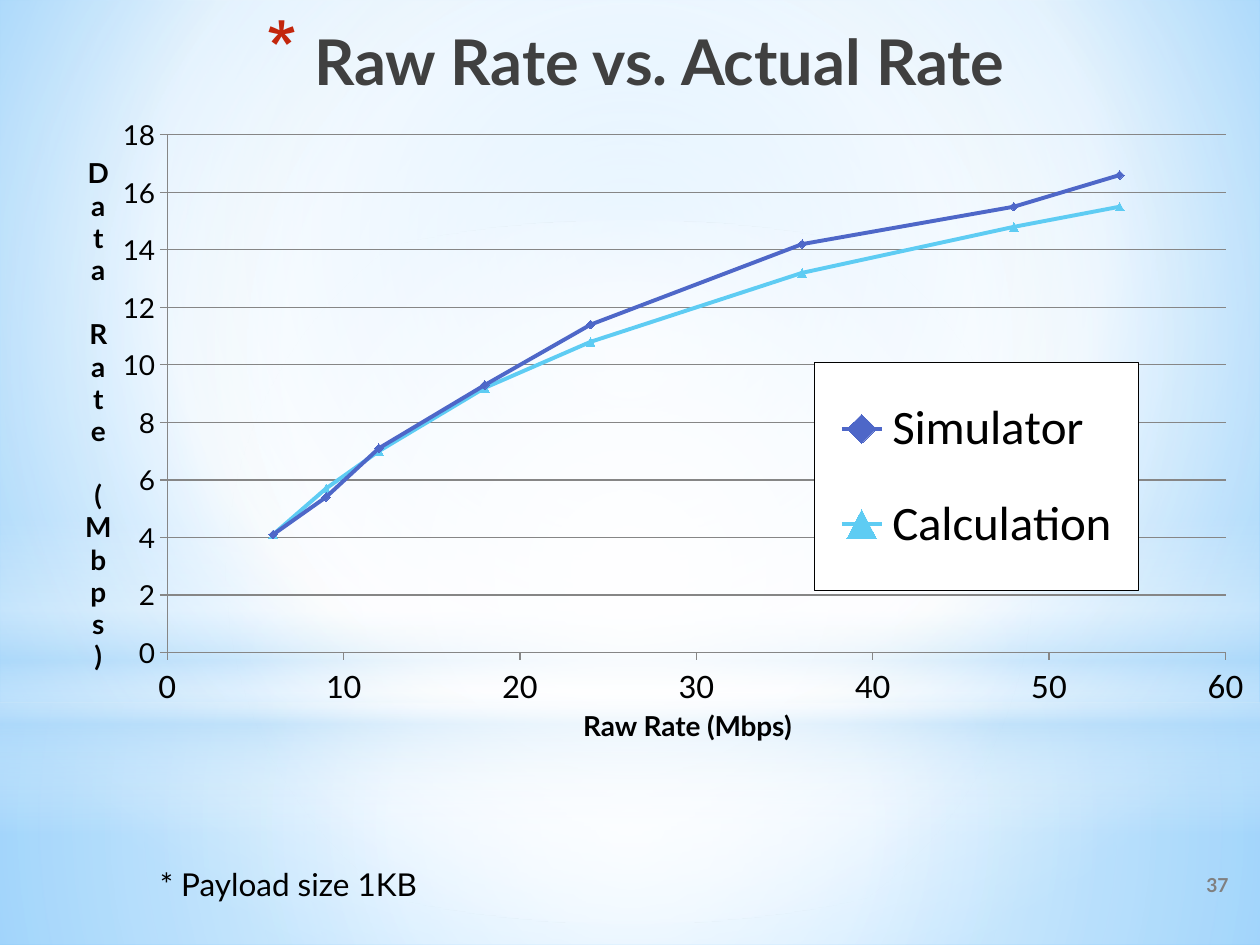
"""Build the slide that plots raw rate against actual data rate."""
import lxml.etree
import pptx
import pptx.chart.data
import pptx.dml.color
import pptx.enum.chart
import pptx.enum.shapes
import pptx.enum.text
import pptx.oxml
import pptx.oxml.ns
import pptx.util

Cm, Pt = pptx.util.Cm, pptx.util.Pt
rgb = pptx.dml.color.RGBColor.from_string
qn = pptx.oxml.ns.qn
sub = lxml.etree.SubElement
enum = pptx.enum.chart
shapes = pptx.enum.shapes.MSO_SHAPE
align = pptx.enum.text.PP_ALIGN
anchor = pptx.enum.text.MSO_ANCHOR


def shade(fill, root, stops, focus):
    """Give a fill its gradient stops, round a focus or straight down."""
    fill.gradient()
    grad = root.xpath(".//a:gradFill")[0]
    for kid in list(grad):
        grad.remove(kid)
    grad.set("rotWithShape", "1")
    group = sub(grad, qn("a:gsLst"))
    for pos, color, alpha in stops:
        stop = sub(group, qn("a:gs"), pos=str(pos * 1000))
        tint = sub(stop, qn("a:srgbClr"), val=color)
        if alpha < 100:
            sub(tint, qn("a:alpha"), val=str(alpha * 1000))
    if focus:
        ring = sub(grad, qn("a:path"), path="circle")
        sides = {side: str(n * 1000) for side, n in zip("ltrb", focus)}
        sub(ring, qn("a:fillToRect"), **sides)
    else:
        sub(grad, qn("a:lin"), ang="5400000", scaled="0")


def style(font, size, color="000000", name="Lato", bold=False):
    """Set a font from a dict of format values."""
    form = {"size": Pt(size), "name": name, "bold": bold}
    for key, val in form.items():
        setattr(font, key, val)
    font.color.rgb = rgb(color)


deck = pptx.Presentation()
deck.slide_width, deck.slide_height = Cm(25.4), Cm(19.05)
slide = deck.slides.add_slide(deck.slide_layouts[6])

shade(slide.background.fill, slide.element,
      [(0, "9ED5FF", 100), (60, "FFFFFF", 100), (100, "5BB9FF", 100)],
      (20, 10, 20, 60))

mid = (50, 50, 50, 50)
layers = [
    (shapes.RECTANGLE, 14.17, 4.88, mid,
     [(0, "FFFFFF", 91), (37, "FFFFFF", 76), (100, "B4DCFA", 79)]),
    (shapes.RECTANGLE, 0, 14.17, mid,
     [(0, "FFFFFF", 89), (48, "FFFFFF", 62), (100, "B4DCFA", 79)]),
    (shapes.RECTANGLE, 10.46, 6.35, None,
     [(0, "FFFFFF", 0), (29, "FFFFFF", 30), (45, "B4DCFA", 40),
      (55, "FFFFFF", 26), (65, "B4DCFA", 60), (100, "FFFFFF", 0)]),
    (shapes.OVAL, 4.45, 14.17, mid,
     [(0, "FFFFFF", 100), (56, "FFFFFF", 0)]),
]
for kind, top, high, focus, stops in layers:
    layer = slide.shapes.add_shape(kind, 0, Cm(top), deck.slide_width, Cm(high))
    layer.shadow.inherit = False
    layer.line.fill.background()
    shade(layer.fill, layer.element, stops, focus)

rates = [6, 9, 12, 18, 24, 36, 48, 54]
marks = enum.XL_MARKER_STYLE
lines = [
    ("Simulator", "4E67C8", marks.DIAMOND,
     [4.1, 5.4, 7.1, 9.3, 11.4, 14.2, 15.5, 16.6]),
    ("Calculation", "5ECCF3", marks.TRIANGLE,
     [4.1, 5.7, 7, 9.2, 10.8, 13.2, 14.8, 15.5]),
]
data = pptx.chart.data.XyChartData()
for name, color, mark, speeds in lines:
    plot = data.add_series(name)
    for rate, speed in zip(rates, speeds):
        plot.add_data_point(rate, speed)
chart = slide.shapes.add_chart(
    enum.XL_CHART_TYPE.XY_SCATTER_LINES,
    Cm(0.36), Cm(0.91), Cm(25.1), Cm(14.2), data).chart
chart.has_title = False
style(chart.font, 10)
chart.plots[0].vary_by_categories = False
for plot, (name, color, mark, speeds) in zip(chart.plots[0].series, lines):
    plot.smooth = False
    plot.format.line.width = Pt(2.25)
    plot.format.line.color.rgb = rgb(color)
    plot.marker.style, plot.marker.size = mark, 5
    plot.marker.format.fill.solid()
    plot.marker.format.fill.fore_color.rgb = rgb(color)
    plot.marker.format.line.color.rgb = rgb(color)

axes = [
    (chart.category_axis, "Raw Rate (Mbps)", 60, 10, 20, "Calibri", False),
    (chart.value_axis, "Data Rate (Mbps)", 18, 2, 16, "Lato", True),
]
for axis, title, top, step, size, face, grid in axes:
    form = {"minimum_scale": 0, "maximum_scale": top, "major_unit": step,
            "has_major_gridlines": grid,
            "major_tick_mark": enum.XL_TICK_MARK.OUTSIDE,
            "minor_tick_mark": enum.XL_TICK_MARK.NONE}
    for key, val in form.items():
        setattr(axis, key, val)
    style(axis.tick_labels.font, size, name=face)
    axis.tick_labels.number_format = "General"
    axis.tick_labels.number_format_is_linked = False
    axis.format.line.color.rgb = rgb("868686")
    frame = axis.axis_title.text_frame
    frame.text = title
    style(frame.paragraphs[0].runs[0].font, 16, bold=True)
chart.value_axis.major_gridlines.format.line.color.rgb = rgb("868686")

chart.has_legend = True
legend = chart.legend
legend.position = enum.XL_LEGEND_POSITION.CORNER
legend.include_in_layout = False
style(legend.font, 28, name="Calibri")

root = chart.element
area, key_box = (root.xpath(".//c:" + tag)[0] for tag in ("plotArea", "legend"))
name_x, name_y = root.xpath(".//c:valAx/c:title")
body = name_y.xpath(".//a:bodyPr")[0]
body.set("rot", "0")
body.set("vert", "wordArtVert")
props = pptx.oxml.parse_xml(
    '<c:spPr xmlns:c="http://schemas.openxmlformats.org/drawingml/2006/chart"'
    ' xmlns:a="http://schemas.openxmlformats.org/drawingml/2006/main">'
    '<a:solidFill><a:srgbClr val="FFFFFF"/></a:solidFill><a:ln w="9525">'
    '<a:solidFill><a:srgbClr val="000000"/></a:solidFill></a:ln></c:spPr>')
key_box.xpath("c:txPr")[0].addprevious(props)

spots = [
    (area, 0, (0.12, 0.13, 0.85, 0.75)),
    (key_box, 1, (0.64, 0.46, 0.26, 0.33)),
    (name_x, 1, (0.45, 0.95)),
    (name_y, 1, (0.05, 0.15)),
]
for owner, place, box in spots:
    for old in owner.findall(qn("c:layout")):
        owner.remove(old)
    layout = lxml.etree.Element(qn("c:layout"))
    owner.insert(place, layout)
    hand = sub(layout, qn("c:manualLayout"))
    if owner is area:
        sub(hand, qn("c:layoutTarget"), val="inner")
    for mode in ("c:xMode", "c:yMode"):
        sub(hand, qn(mode), val="edge")
    for key, val in zip("xywh", box):
        sub(hand, qn("c:" + key), val=str(val))

texts = [
    ("Raw Rate vs. Actual Rate", (2.31, 0.33, 21, 2.79), align.CENTER,
     anchor.TOP, True, (36, "404040", "Lato", True)),
    ("37", (15.7, 17.32, 9.32, 1.02), align.RIGHT,
     anchor.MIDDLE, True, (11, "808080", "Lato", True)),
    ("* Payload size 1KB", (2.79, 17.32, 5.87, 1.02), align.RIGHT,
     anchor.TOP, False, (18,)),
]
for text, box, side, hold, wrap, look in texts:
    frame = slide.shapes.add_textbox(*map(Cm, box)).text_frame
    frame.word_wrap, frame.vertical_anchor = wrap, hold
    para = frame.paragraphs[0]
    para.alignment = side
    run = para.add_run()
    run.text = text
    style(run.font, *look)
    if side == align.CENTER:
        props = para._p.get_or_add_pPr()
        props.set("marL", str(Cm(0.97)))
        props.set("indent", str(-Cm(0.97)))
        tint = sub(props, qn("a:buClr"))
        sub(tint, qn("a:srgbClr"), val="C3260C")
        sub(props, qn("a:buSzPct"), val="128000")
        sub(props, qn("a:buChar"), char="*")

deck.save("out.pptx")
